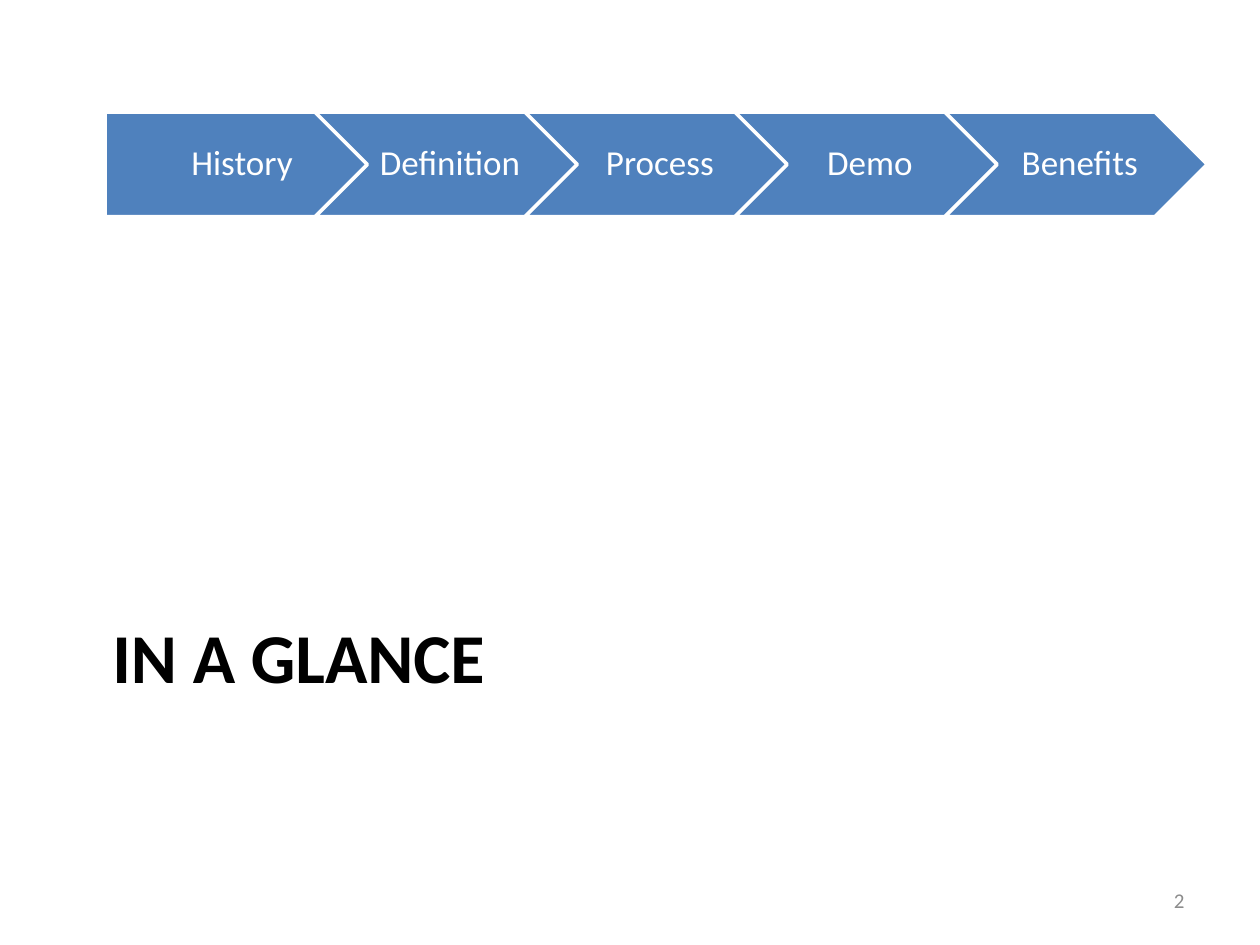
"""Build an agenda slide with a row of five step arrows."""
from dataclasses import dataclass

from pptx import Presentation
from pptx.dml.color import RGBColor
from pptx.enum.shapes import MSO_SHAPE
from pptx.enum.text import MSO_ANCHOR, PP_ALIGN
from pptx.slide import Slide
from pptx.text.text import TextFrame
from pptx.util import Cm, Pt

FONT = "Calibri"
STEP_LEFT, STEP_TOP = 2.12, 2.26
STEP_WIDTH, STEP_HEIGHT = 5.29, 2.11
STEP_PITCH = 0.8 * STEP_WIDTH


@dataclass(frozen=True)
class Step:
    label: str
    outline: MSO_SHAPE = MSO_SHAPE.CHEVRON
    left_inset: float = 0.23


STEPS = [
    Step("History", MSO_SHAPE.PENTAGON, 0.84),
    Step("Definition"),
    Step("Process"),
    Step("Demo"),
    Step("Benefits"),
]


def color(code: str) -> RGBColor:
    return RGBColor.from_string(code)


def write(frame: TextFrame, text: str, size: float, code: str,
          align: PP_ALIGN, anchor: MSO_ANCHOR, bold: bool = False) -> None:
    frame.vertical_anchor = anchor
    paragraph = frame.paragraphs[0]
    paragraph.alignment = align
    run = paragraph.add_run()
    run.text = text
    run.font.name = FONT
    run.font.size = Pt(size)
    run.font.bold = bold
    run.font.color.rgb = color(code)


def draw_step(slide: Slide, step: Step, position: int) -> None:
    arrow = slide.shapes.add_shape(
        step.outline, Cm(STEP_LEFT + position * STEP_PITCH), Cm(STEP_TOP),
        Cm(STEP_WIDTH), Cm(STEP_HEIGHT))
    arrow.shadow.inherit = False
    arrow.fill.solid()
    arrow.fill.fore_color.rgb = color("4F81BD")
    arrow.line.color.rgb = color("FFFFFF")
    arrow.line.width = Pt(2)
    frame = arrow.text_frame
    frame.word_wrap = False
    frame.margin_left, frame.margin_right = Cm(step.left_inset), Cm(0.08)
    frame.margin_top = frame.margin_bottom = Cm(0.15)
    write(frame, step.label, 20, "FFFFFF", PP_ALIGN.CENTER, MSO_ANCHOR.MIDDLE)
    frame.paragraphs[0].line_spacing = 0.9


def draw_title(slide: Slide, text: str) -> None:
    title = slide.shapes.title
    title.left, title.top = Cm(2.01), Cm(12.24)
    title.width, title.height = Cm(21.59), Cm(3.78)
    write(title.text_frame, text, 40, "000000", PP_ALIGN.LEFT, MSO_ANCHOR.TOP, bold=True)


def draw_page_number(slide: Slide, number: str) -> None:
    page_number = slide.shapes.add_textbox(Cm(18.2), Cm(17.65), Cm(5.93), Cm(1.01))
    page_number.text_frame.word_wrap = True
    write(page_number.text_frame, number, 12, "8C8C8C", PP_ALIGN.RIGHT, MSO_ANCHOR.MIDDLE)


def main() -> None:
    deck = Presentation()
    deck.slide_width, deck.slide_height = Cm(25.4), Cm(19.05)
    slide = deck.slides.add_slide(deck.slide_layouts.get_by_name("Title Only"))
    draw_title(slide, "IN A GLANCE")
    for position, step in enumerate(STEPS):
        draw_step(slide, step, position)
    draw_page_number(slide, "2")
    deck.save("out.pptx")


if __name__ == "__main__":
    main()
